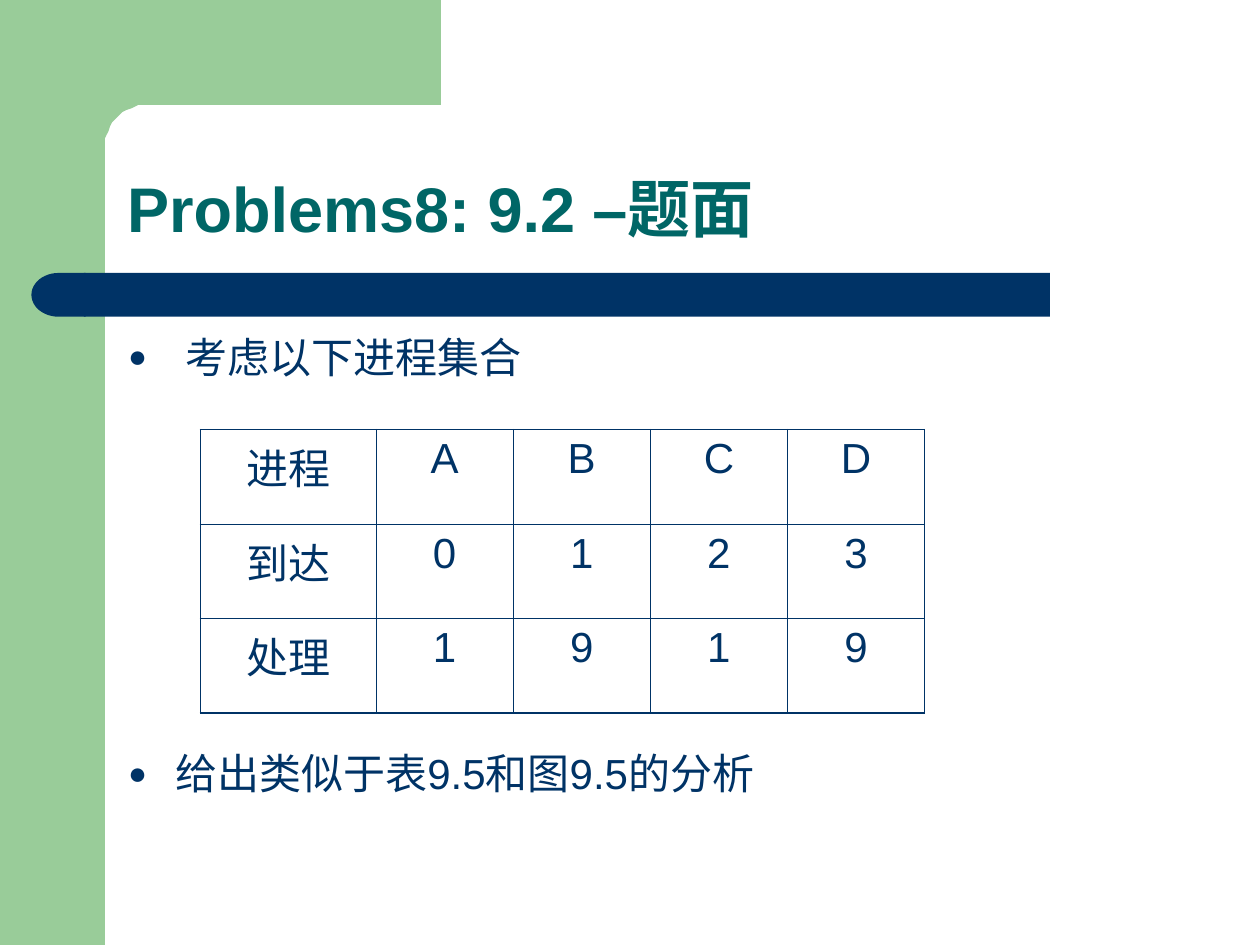
import math

import pptx
import pptx.dml.color
import pptx.enum.shapes
import pptx.enum.text
import pptx.oxml
import pptx.oxml.ns
import pptx.util
from lxml import etree

Pt = pptx.util.Pt
Shape = pptx.enum.shapes.MSO_SHAPE
Align = pptx.enum.text.PP_ALIGN
Anchor = pptx.enum.text.MSO_ANCHOR


def color(code):
    return pptx.dml.color.RGBColor.from_string(code)


def add(parent, tag, **attrs):
    return etree.SubElement(parent, pptx.oxml.ns.qn(tag), attrs)


class Deck:
    font = "Arial"
    green = "99CC99"
    navy = "003366"
    teal = "006666"
    thin = 0.45
    thick = 1.08

    def __init__(self):
        self.file = pptx.Presentation()
        self.file.slide_width = Pt(720)
        self.file.slide_height = Pt(540)
        self.slide = self.file.slides.add_slide(self.file.slide_layouts[1])

    def paint(self, shape, code):
        shape.shadow.inherit = False
        shape.fill.solid()
        shape.fill.fore_color.rgb = color(code)
        shape.line.fill.background()

    def block(self, kind, box, code):
        shape = self.slide.shapes.add_shape(kind, *map(Pt, box))
        self.paint(shape, code)
        return shape

    def corner(self, right, base, left, edge, radius, code):
        mid = edge + radius
        arc = [
            (mid - radius * math.sin(turn), mid - radius * math.cos(turn))
            for turn in (math.pi / 2 * step / 16 for step in range(17))
        ]
        dots = [(right, 0), (right, edge), *arc, (edge, base), (left, base), (left, 0)]
        pen = self.slide.shapes.build_freeform(*dots[0], scale=Pt(1))
        pen.add_line_segments(dots[1:], close=True)
        self.paint(pen.convert_to_shape(), code)

    def style(self, para, size, code, bold=False):
        for run in para.runs:
            run.font.name = self.font
            run.font.size = Pt(size)
            run.font.bold = bold
            run.font.color.rgb = color(code)

    def place(self, shape, box):
        shape.left, shape.top, shape.width, shape.height = map(Pt, box)
        shape.element.getparent().append(shape.element)
        frame = shape.text_frame
        frame.auto_size = pptx.enum.text.MSO_AUTO_SIZE.NONE
        frame.word_wrap = True
        return frame

    def title(self, text, box):
        frame = self.place(self.slide.shapes.title, box)
        frame.vertical_anchor = Anchor.BOTTOM
        frame.text = text
        para = frame.paragraphs[0]
        para.alignment = Align.LEFT
        para.line_spacing = 0.9
        self.style(para, 36, self.teal, True)

    def bullets(self, items, box):
        frame = self.place(self.slide.placeholders[1], box)
        frame.text = "\n".join(text for text, indent, gap in items)
        for para, (text, indent, gap) in zip(frame.paragraphs, items):
            props = para._p.get_or_add_pPr()
            props.set("marL", str(Pt(indent)))
            props.set("indent", str(-Pt(indent)))
            add(add(props, "a:buClr"), "a:srgbClr", val=self.navy)
            add(props, "a:buSzPct", val="75000")
            add(props, "a:buFont", typeface=self.font)
            add(props, "a:buChar", char="●")
            para.space_before = Pt(gap)
            self.style(para, 24, self.navy)

    def border(self, cell, side, width):
        line = add(cell._tc.get_or_add_tcPr(), "a:ln" + side, w=str(Pt(width)))
        add(add(line, "a:solidFill"), "a:srgbClr", val=self.navy)

    def table(self, rows, spot, widths, height):
        size = (sum(widths), height * len(rows))
        grid = self.slide.shapes.add_table(
            len(rows), len(widths), *map(Pt, spot + size)
        ).table
        grid.first_row = grid.horz_banding = False
        for col, width in zip(grid.columns, widths):
            col.width = Pt(width)
        for r, row in enumerate(rows):
            grid.rows[r].height = Pt(height)
            for c, text in enumerate(row):
                cell = grid.cell(r, c)
                cell.text = text
                para = cell.text_frame.paragraphs[0]
                para.alignment = Align.CENTER
                self.style(para, 24, self.navy)
                outer = {"L": c == 0, "R": False, "T": r == 0, "B": r == len(rows) - 1}
                for side, bold in outer.items():
                    self.border(cell, side, self.thick if bold else self.thin)
                cell.fill.background()


def main():
    deck = Deck()
    deck.block(Shape.RECTANGLE, (0, 0, 60, 540), deck.green)
    deck.corner(252, 92, 36, 60, 23.5, deck.green)
    bar = deck.block(Shape.ROUNDED_RECTANGLE, (48, 156, 552, 25), deck.navy)
    bar.adjustments[0] = 0
    cap = deck.block(Shape.FLOWCHART_DELAY, (18, 156, 31, 25), deck.navy)
    cap.element.spPr.xfrm.set("flipH", "1")
    deck.title("Problems8: 9.2 –题面", (65.5, 65.5, 612.5, 78.5))
    deck.bullets(
        [("考虑以下进程集合", 33, 0), ("给出类似于表9.5和图9.5的分析", 27, 209)],
        (66, 186, 514, 293),
    )
    deck.table(
        [
            ["进程", "A", "B", "C", "D"],
            ["到达", "0", "1", "2", "3"],
            ["处理", "1", "9", "1", "9"],
        ],
        (114.5, 245.5),
        (100.4, 78.4, 78.4, 78.4, 78.4),
        54,
    )
    deck.file.save("out.pptx")


if __name__ == "__main__":
    main()
